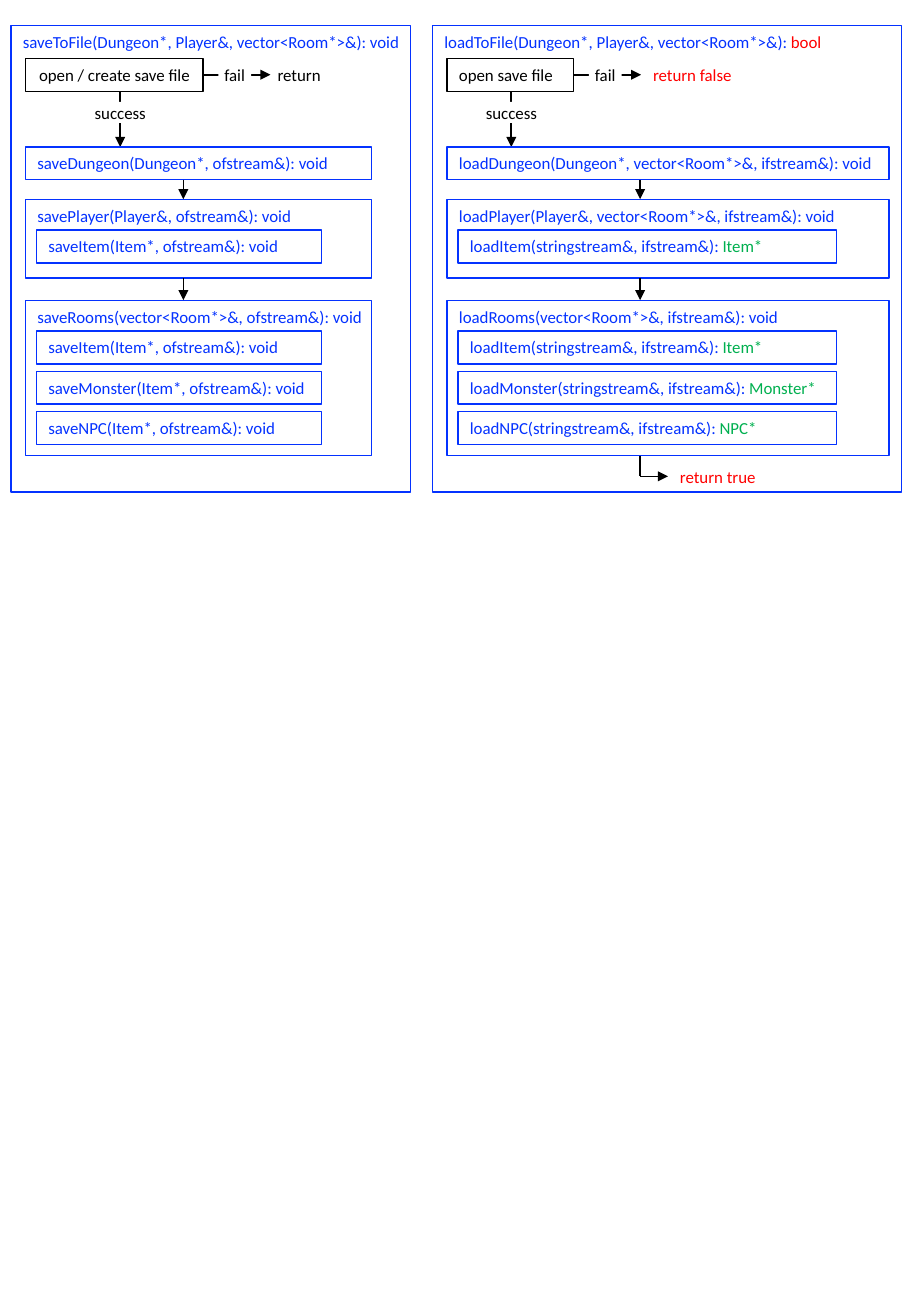
from lxml.etree import SubElement
from pptx import Presentation
from pptx.dml.color import RGBColor
from pptx.enum.shapes import MSO_CONNECTOR, MSO_SHAPE
from pptx.enum.text import MSO_ANCHOR, MSO_AUTO_SIZE, PP_ALIGN
from pptx.oxml.ns import qn
from pptx.util import Inches, Pt

# Lengths are percentages of the slide's width (x) and height (y).
WIDTH, HEIGHT = 7.5, 10.83
BLACK, BLUE, RED, GREEN, WHITE = "000000", "0432FF", "FF0000", "00B050", "FFFFFF"
FRAME_INDENT, ITEM_INDENT = 1.6, 2.8
BOX_HEIGHT, LABEL_HEIGHT = 2.5, 1.6
PANEL_TOP, PANEL_HEIGHT = 1.94, 35.45
OPEN_TOP, SUCCESS_TOP, DUNGEON_TOP = 4.43, 7.74, 11.17
PLAYER_TOP, PLAYER_HEIGHT = 15.14, 6.0
ROOMS_TOP, ROOMS_HEIGHT = 22.81, 11.82
ITEM_OFFSET, ITEM_STEP = 2.35, 3.05
RETURN_CENTRE = 36.2
FAIL_LENGTH, FAIL_GAP, FAIL_WIDTH, SUCCESS_WIDTH = 7.4, 1.67, 3.6, 5.2


def across(share):
    """Turn a share of the slide's width into a length."""
    return Inches(WIDTH * share / 100)


def down(share):
    """Turn a share of the slide's height into a length."""
    return Inches(HEIGHT * share / 100)


def colour(value):
    """Turn a hex string into a colour."""
    return RGBColor.from_string(value)


def write(shape, runs, align=PP_ALIGN.LEFT):
    """Write (text, colour) runs into a shape."""
    paragraph = shape.text_frame.paragraphs[0]
    paragraph.alignment = align
    for text, run_colour in runs:
        run = paragraph.add_run()
        run.text = text
        run.font.size = Pt(10)
        run.font.name = "Calibri"
        run.font.color.rgb = colour(run_colour)


def add_box(slide, left, top, width, height=BOX_HEIGHT, runs=(),
            line=BLUE, align=PP_ALIGN.LEFT):
    """Add an outlined box with optional text at its top."""
    shape = slide.shapes.add_shape(MSO_SHAPE.RECTANGLE, across(left), down(top),
                                   across(width), down(height))
    shape.shadow.inherit = False
    shape.fill.background()
    shape.line.color.rgb = colour(line)
    shape.line.width = Pt(0.75)
    shape.text_frame.vertical_anchor = MSO_ANCHOR.TOP
    write(shape, runs, align)


def add_frame(slide, left, top, width, height, runs):
    """Add a large box with a caption that may reach past its right edge."""
    add_box(slide, left, top, width, height)
    caption = slide.shapes.add_textbox(across(left), down(top),
                                       across(width + 1.2), down(BOX_HEIGHT))
    caption.text_frame.word_wrap = True
    caption.text_frame.auto_size = MSO_AUTO_SIZE.SHAPE_TO_FIT_TEXT
    write(caption, runs)


def add_label(slide, left, centre, width, run, align=PP_ALIGN.CENTER):
    """Add a white label, centred vertically on a height."""
    shape = slide.shapes.add_shape(MSO_SHAPE.RECTANGLE, across(left),
                                   down(centre - LABEL_HEIGHT / 2),
                                   across(width), down(LABEL_HEIGHT))
    shape.shadow.inherit = False
    shape.fill.solid()
    shape.fill.fore_color.rgb = colour(WHITE)
    shape.line.fill.background()
    shape.text_frame.word_wrap = False
    shape.text_frame.vertical_anchor = MSO_ANCHOR.MIDDLE
    write(shape, [run], align)


def add_line(slide, start, end, arrow=True):
    """Add a black line between two points, with an arrowhead at its end."""
    connector = slide.shapes.add_connector(
        MSO_CONNECTOR.STRAIGHT, across(start[0]), down(start[1]),
        across(end[0]), down(end[1]))
    connector.line.color.rgb = colour(BLACK)
    connector.line.width = Pt(1)
    if arrow:
        SubElement(connector.line._get_or_add_ln(), qn("a:tailEnd"), type="triangle")
    SubElement(connector._element.spPr, qn("a:effectLst"))


def add_items(slide, left, frame_top, width, items):
    """Stack call boxes at equal steps inside a frame."""
    for index, runs in enumerate(items):
        top = frame_top + ITEM_OFFSET + index * ITEM_STEP
        add_box(slide, left, top, width, runs=runs)


def add_opening(slide, left, width, success_x, opening, align, failure):
    """Add the open-file box with its success and fail branches."""
    add_box(slide, left, OPEN_TOP, width, runs=[(opening, BLACK)],
            line=BLACK, align=align)
    add_line(slide, (success_x, OPEN_TOP + BOX_HEIGHT), (success_x, DUNGEON_TOP))
    add_label(slide, success_x - SUCCESS_WIDTH / 2, SUCCESS_TOP + LABEL_HEIGHT / 2,
              SUCCESS_WIDTH, ("success", BLACK))
    right, centre = left + width, OPEN_TOP + BOX_HEIGHT / 2
    add_line(slide, (right, centre), (right + FAIL_LENGTH, centre))
    add_label(slide, right + FAIL_GAP, centre, FAIL_WIDTH, ("fail", BLACK))
    add_label(slide, right + FAIL_LENGTH, centre, *failure)


def add_panel(slide, left, width, frame_width, item_width, flow_x, title,
              opening, dungeon, player, rooms, items):
    """Add one panel that shows the flow of a function."""
    frame_left, item_left = left + FRAME_INDENT, left + ITEM_INDENT
    add_frame(slide, left, PANEL_TOP, width, PANEL_HEIGHT, title)
    add_opening(slide, frame_left, *opening)
    add_box(slide, frame_left, DUNGEON_TOP, frame_width, runs=[(dungeon, BLUE)])
    add_frame(slide, frame_left, PLAYER_TOP, frame_width, PLAYER_HEIGHT,
              [(player, BLUE)])
    add_items(slide, item_left, PLAYER_TOP, item_width, items[:1])
    add_frame(slide, frame_left, ROOMS_TOP, frame_width, ROOMS_HEIGHT,
              [(rooms, BLUE)])
    add_items(slide, item_left, ROOMS_TOP, item_width, items)
    for start, end in ((DUNGEON_TOP + BOX_HEIGHT, PLAYER_TOP),
                       (PLAYER_TOP + PLAYER_HEIGHT, ROOMS_TOP)):
        add_line(slide, (flow_x, start), (flow_x, end))


def main():
    """Build the slide and save it."""
    presentation = Presentation()
    presentation.slide_width, presentation.slide_height = across(100), down(100)
    slide = presentation.slides.add_slide(presentation.slide_layouts[6])

    add_panel(
        slide, 1.2, 43.87, 38, 31.33, 20.13,
        [("saveToFile(Dungeon*, Player&, vector<Room*>&): void", BLUE)],
        (19.5, 13.2, "open / create save file", PP_ALIGN.CENTER,
         (6.27, ("return", BLACK))),
        "saveDungeon(Dungeon*, ofstream&): void",
        "savePlayer(Player&, ofstream&): void",
        "saveRooms(vector<Room*>&, ofstream&): void",
        [[(f"save{kind}(Item*, ofstream&): void", BLUE)]
         for kind in ("Item", "Monster", "NPC")])

    load_flow_x, return_x = 70.27, 73.33
    add_panel(
        slide, 47.47, 51.47, 48.53, 41.6, load_flow_x,
        [("loadToFile(Dungeon*, Player&, vector<Room*>&): ", BLUE), ("bool", RED)],
        (13.9, 56.13, "open save file", PP_ALIGN.LEFT,
         (11.07, ("return false", RED), PP_ALIGN.LEFT)),
        "loadDungeon(Dungeon*, vector<Room*>&, ifstream&): void",
        "loadPlayer(Player&, vector<Room*>&, ifstream&): void",
        "loadRooms(vector<Room*>&, ifstream&): void",
        [[(f"load{kind}(stringstream&, ifstream&): ", BLUE), (f"{kind}*", GREEN)]
         for kind in ("Item", "Monster", "NPC")])
    corner = (load_flow_x, RETURN_CENTRE)
    add_line(slide, (load_flow_x, ROOMS_TOP + ROOMS_HEIGHT), corner, arrow=False)
    add_line(slide, corner, (return_x, RETURN_CENTRE))
    add_label(slide, return_x, RETURN_CENTRE, 11.07, ("return true", RED),
              PP_ALIGN.LEFT)
    presentation.save("out.pptx")


main()
